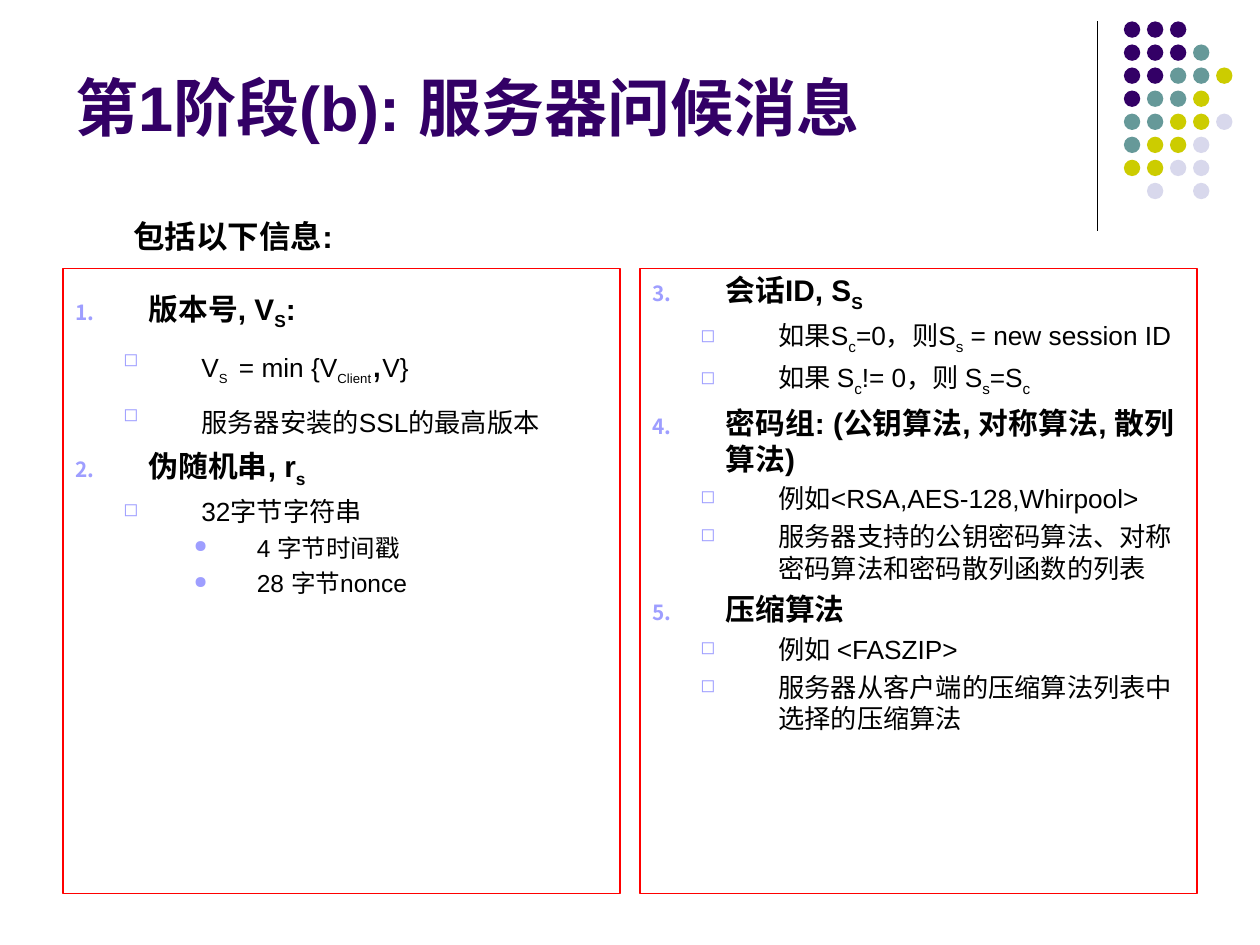
from lxml import etree
from pptx import Presentation
from pptx.dml.color import RGBColor
from pptx.enum.shapes import MSO_CONNECTOR, MSO_SHAPE
from pptx.enum.text import MSO_ANCHOR
from pptx.oxml.ns import qn
from pptx.util import Inches, Pt

OVAL = MSO_SHAPE.OVAL
STRAIGHT = MSO_CONNECTOR.STRAIGHT
TOP, MIDDLE = MSO_ANCHOR.TOP, MSO_ANCHOR.MIDDLE

FONT = "Arial"
BLACK, RED, PURPLE, BULLET = "000000", "FF0000", "330066", "9E9EFF"
SUB = -25000

TITLE = "第1阶段(b): 服务器问候消息"
INTRO = "包括以下信息:"

DOT_COLORS = {"p": PURPLE, "t": "669999", "y": "CCCC00", "l": "D8D8EC"}
DOT_ROWS = ["ppp", "pppt", "pptty", "ptty", "ttyyl", "tyyl", "yyll", ".l.l"]
DOT_LEFT, DOT_TOP, DOT_STEP, DOT_SIZE = 8.92, 0.17, 0.183, 0.13

LEVELS = [
    {"size": 17, "bold": True, "margin": 0.58, "hang": 0.58, "before": 4.2, "mark": None},
    {"size": 15, "bold": False, "margin": 1, "hang": 0.62, "before": 3.7, "mark": "◻"},
    {"size": 14, "bold": False, "margin": 1.44, "hang": 0.5, "before": 3.5, "mark": "●"},
]

LEFT_ITEMS = [
    (0, ["版本号, V", ("S", 17, SUB), ":", (" ", 26, 0)]),
    (1, ["V", ("S", 13, SUB), (" ", 23, 0), "= min {V", ("Client", 13, SUB), (",", 23, 0), "V}"]),
    (1, ["服务器安装的SSL的最高版本", (" ", 23, 0)]),
    (0, ["伪随机串, r", ("s", 17, SUB)]),
    (1, ["32字节字符串"]),
    (2, ["4 字节时间戳"]),
    (2, ["28 字节nonce"]),
]
RIGHT_ITEMS = [
    (0, ["会话ID, S", ("S", 17, SUB)]),
    (1, ["如果S", ("c", 15, SUB), "=0，则S", ("s", 15, SUB), " = new session ID"]),
    (1, ["如果 S", ("c", 15, SUB), "!= 0，则 S", ("s", 15, SUB), "=S", ("c", 15, SUB)]),
    (0, ["密码组: (公钥算法, 对称算法, 散列算法)"]),
    (1, ["例如<RSA,AES-128,Whirpool>"]),
    (1, ["服务器支持的公钥密码算法、对称密码算法和密码散列函数的列表"]),
    (0, ["压缩算法"]),
    (1, ["例如 <FASZIP>"]),
    (1, ["服务器从客户端的压缩算法列表中选择的压缩算法"]),
]
COLUMNS = [
    {"left": 0.5, "inset": 0.05, "start": 1, "items": LEFT_ITEMS},
    {"left": 5.08, "inset": 0.03, "start": 3, "items": RIGHT_ITEMS},
]


def color(value):
    return RGBColor.from_string(value)


def add_box(page, left, top, width, height, anchor=TOP):
    box = page.shapes.add_textbox(Inches(left), Inches(top), Inches(width), Inches(height))
    box.text_frame.word_wrap = True
    box.text_frame.vertical_anchor = anchor
    return box


def add_span(para, text, size, bold, ink=BLACK, baseline=0):
    span = para.add_run()
    span.text = text
    span.font.name = FONT
    span.font.size = Pt(size)
    span.font.bold = bold
    span.font.color.rgb = color(ink)
    if baseline:
        span._r.get_or_add_rPr().set("baseline", str(baseline))


def add_bullet(para, level, start):
    properties = para._p.get_or_add_pPr()
    properties.set("marL", str(Inches(level["margin"])))
    properties.set("indent", str(-Inches(level["hang"])))
    tint = etree.SubElement(properties, qn("a:buClr"))
    etree.SubElement(tint, qn("a:srgbClr"), val=BULLET)
    etree.SubElement(properties, qn("a:buSzPct"), val="70000")
    if level["mark"]:
        etree.SubElement(properties, qn("a:buChar"), char=level["mark"])
    else:
        etree.SubElement(properties, qn("a:buAutoNum"), type="arabicPeriod", startAt=str(start))


def add_column(page, left, inset, start, items):
    box = add_box(page, left, 2.13, 4.42, 4.96)
    box.line.color.rgb = color(RED)
    box.line.width = Pt(0.75)
    frame = box.text_frame
    frame.margin_top = Inches(inset)
    for index, (depth, runs) in enumerate(items):
        level = LEVELS[depth]
        para = frame.add_paragraph() if index else frame.paragraphs[0]
        para.level = depth
        add_bullet(para, level, start)
        if index:
            para.space_before = Pt(level["before"])
        for run in runs:
            text, size, baseline = (run, level["size"], 0) if isinstance(run, str) else run
            bold = level["bold"] and bool(text.strip())
            add_span(para, text, size, bold, baseline=baseline)


def add_dots(page):
    for row, letters in enumerate(DOT_ROWS):
        for column, letter in enumerate(letters):
            if letter not in DOT_COLORS:
                continue
            dot = page.shapes.add_shape(
                OVAL, Inches(DOT_LEFT + column * DOT_STEP), Inches(DOT_TOP + row * DOT_STEP),
                Inches(DOT_SIZE), Inches(DOT_SIZE))
            dot.shadow.inherit = False
            dot.fill.solid()
            dot.fill.fore_color.rgb = color(DOT_COLORS[letter])
            dot.line.fill.background()


def main():
    """Build the server hello slide."""
    deck = Presentation()
    deck.slide_width, deck.slide_height = Inches(10), Inches(7.5)
    page = deck.slides.add_slide(deck.slide_layouts[6])

    rule = page.shapes.add_connector(
        STRAIGHT, Inches(8.71), Inches(0.17), Inches(8.71), Inches(1.83))
    rule.line.color.rgb = color(BLACK)
    rule.line.width = Pt(0.75)
    etree.SubElement(rule._element.spPr, qn("a:effectLst"))
    add_dots(page)

    title = add_box(page, 0.5, 0.13, 8.25, 1.42, MIDDLE)
    add_span(title.text_frame.paragraphs[0], TITLE, 36, True, PURPLE)
    for column in COLUMNS:
        add_column(page, **column)
    intro = add_box(page, 0.96, 1.67, 8.08, 0.42)
    add_span(intro.text_frame.paragraphs[0], INTRO, 18, True)

    deck.save("out.pptx")


if __name__ == "__main__":
    main()
